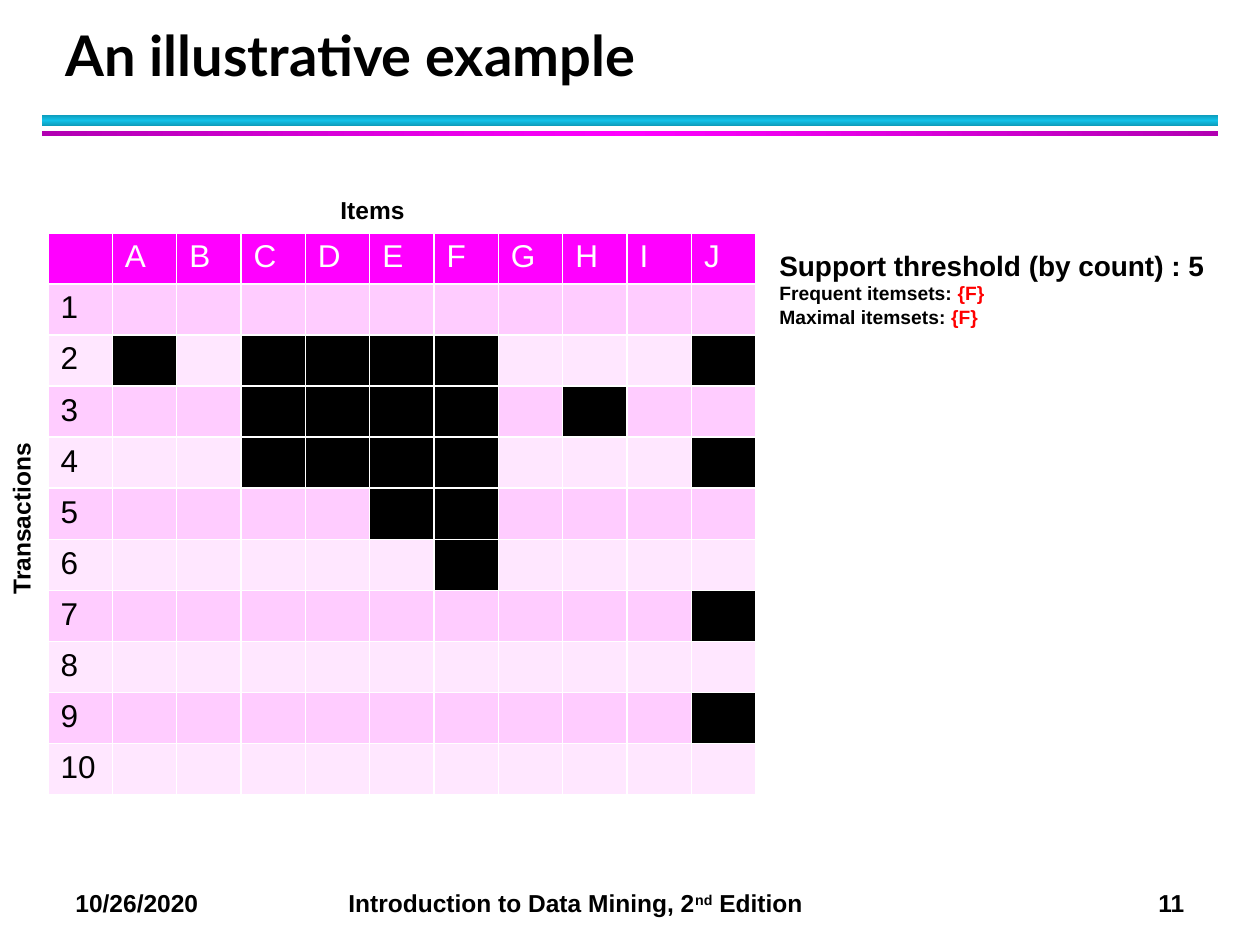
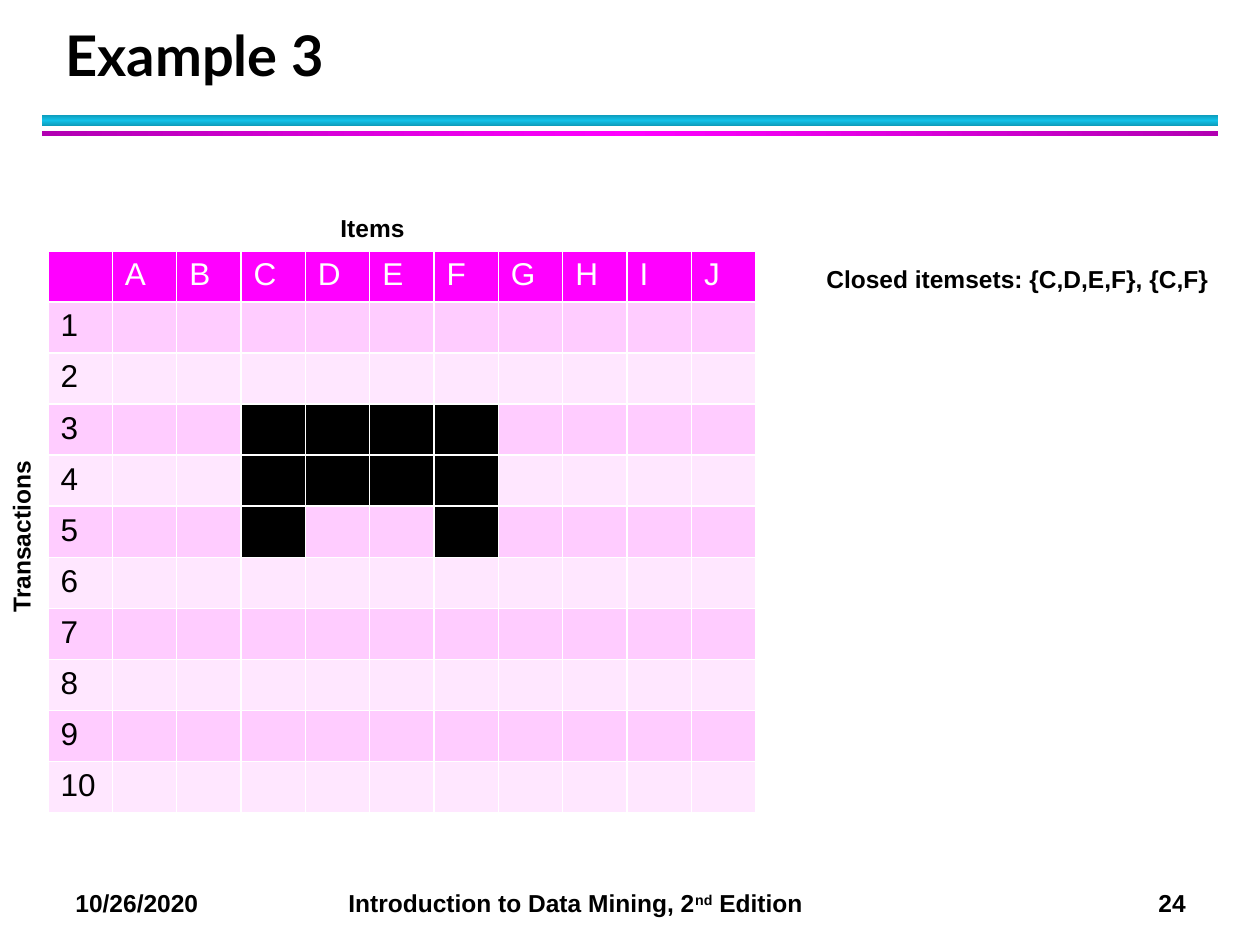
from copy import deepcopy

from lxml import etree
from pptx import Presentation
from pptx.dml.color import RGBColor
from pptx.enum.shapes import MSO_SHAPE
from pptx.enum.text import MSO_ANCHOR
from pptx.oxml.ns import qn
from pptx.util import Emu, Pt

RECTANGLE = MSO_SHAPE.RECTANGLE
TOP, BOTTOM = MSO_ANCHOR.TOP, MSO_ANCHOR.BOTTOM

PX_PER_INCH = 126
BODY_FONT, TITLE_FONT = "Arial", "Lato"
BLACK, WHITE, RED, MAGENTA = "000000", "FFFFFF", "FF0000", "FF00FF"
ROW_TINTS = ("FFCCFF", "FFE7FF")
CYAN_BAND = ("0E9BBA", "12C2E9", "0E9BBA")
MAGENTA_BAND = ("B200B2", MAGENTA, "B200B2")

ITEMS = "ABCDEFGHIJ"
TRANSACTION_COUNT = 10
DATE = "10/26/2020"
FOOTER_TABS = (273, 1083)


def px(length):
    return Emu(round(length * 914400 / PX_PER_INCH))


def rgb(value):
    return RGBColor.from_string(value)


def add_run(paragraph, text, size=14, color=BLACK, bold=True, font=BODY_FONT,
            baseline=None):
    run = paragraph.add_run()
    run.text = text
    run.font.size = Pt(size)
    run.font.bold = bold
    run.font.name = font
    run.font.color.rgb = rgb(color)
    if baseline:
        run.font._element.set("baseline", str(baseline))


def add_text(slide, box, *lines, anchor=TOP, rotation=0, line_spacing=None,
             tabs=(), **style):
    """Each line is a string or a list of (text, format) runs."""
    label = slide.shapes.add_textbox(*map(px, box))
    label.rotation = rotation
    frame = label.text_frame
    frame.word_wrap = True
    frame.vertical_anchor = anchor
    for index, line in enumerate(lines):
        paragraph = frame.add_paragraph() if index else frame.paragraphs[0]
        if tabs:
            tab_list = etree.SubElement(paragraph._p.get_or_add_pPr(), qn("a:tabLst"))
            for position in tabs:
                etree.SubElement(tab_list, qn("a:tab"), pos=str(px(position)), algn="l")
        if line_spacing:
            paragraph.line_spacing = Pt(line_spacing)
        for text, own_style in [(line, {})] if isinstance(line, str) else line:
            add_run(paragraph, text, **{**style, **own_style})


def add_band(slide, box, colors, angle):
    band = slide.shapes.add_shape(RECTANGLE, *map(px, box))
    band.shadow.inherit = False
    band.line.fill.background()
    band.fill.gradient()
    band.fill.gradient_angle = angle
    stop_list = band._element.spPr.find(".//" + qn("a:gsLst"))
    stop_list.append(deepcopy(stop_list[0]))
    for stop, color, position in zip(band.fill.gradient_stops, colors, (0, 0.5, 1)):
        stop.color.rgb = rgb(color)
        stop.position = position


def add_base(presentation, title, number):
    """Slide with the shared title, bands and footer."""
    slide = presentation.slides.add_slide(presentation.slide_layouts[6])
    add_band(slide, (42, 115, 1176, 11), CYAN_BAND, 90)
    add_band(slide, (42, 131, 1176, 5), MAGENTA_BAND, 0)
    add_text(slide, (63, 882, 1176, 43),
             [(f"{DATE}\tIntroduction to Data Mining, 2", {}),
              ("nd", {"baseline": 30000}),
              (f" Edition\t{number}", {})],
             tabs=FOOTER_TABS)
    add_text(slide, (53, 21, 1142, 73), title, anchor=BOTTOM, line_spacing=36,
             size=32, font=TITLE_FONT)
    return slide


def style_cell(cell, text, fill, color):
    # Borders come before the fill in the cell properties
    properties = cell._tc.get_or_add_tcPr()
    for side in ("a:lnL", "a:lnR", "a:lnT", "a:lnB"):
        border = etree.SubElement(properties, qn(side), w=str(Pt(1)))
        solid = etree.SubElement(border, qn("a:solidFill"))
        etree.SubElement(solid, qn("a:srgbClr"), val=WHITE)
    cell.fill.solid()
    cell.fill.fore_color.rgb = rgb(fill)
    if text:
        add_run(cell.text_frame.paragraphs[0], text, size=18, color=color, bold=False)


def add_transaction_grid(slide, top, purchases):
    """Item matrix with axis labels; purchases maps a transaction to its items."""
    left, width, height = 48, 708, 562
    row_count, column_count = TRANSACTION_COUNT + 1, len(ITEMS) + 1
    grid = slide.shapes.add_table(row_count, column_count,
                                  px(left), px(top), px(width), px(height)).table
    for column in grid.columns:
        column.width = px(width / column_count)
    for row in grid.rows:
        row.height = px(height / row_count)

    # Header row
    for column, item in enumerate(" " + ITEMS):
        style_cell(grid.cell(0, column), item.strip(), MAGENTA, WHITE)

    # Transactions, with bought items in black
    for transaction in range(1, row_count):
        tint = ROW_TINTS[(transaction - 1) % 2]
        style_cell(grid.cell(transaction, 0), str(transaction), tint, BLACK)
        for column, item in enumerate(ITEMS, 1):
            bought = item in purchases.get(transaction, "")
            style_cell(grid.cell(transaction, column), "", BLACK if bought else tint, BLACK)

    # Axis labels
    add_text(slide, (328, top - 44, 97, 50), "Items")
    add_text(slide, (-68, top + 256, 186, 50), "Transactions", rotation=270)


def main():
    presentation = Presentation()
    presentation.slide_width, presentation.slide_height = px(1260), px(945)

    # Frequent and maximal itemsets
    illustrative = add_base(presentation, "An illustrative example", 11)
    answer = ("{F}", {"size": 11, "color": RED})
    add_text(illustrative, (767, 242, 456, 140),
             [("Support threshold (by count) : 5", {"size": 16})],
             [("Frequent itemsets: ", {}), answer],
             [("Maximal itemsets: ", {}), answer],
             size=11)
    add_transaction_grid(illustrative, 233, {
        2: "ACDEFJ", 3: "CDEFH", 4: "CDEFJ", 5: "EF", 6: "F", 7: "J", 9: "J"})

    # Closed itemsets
    closed = add_base(presentation, "Example 3", 24)
    add_transaction_grid(closed, 251, {3: "CDEF", 4: "CDEF", 5: "CF"})
    add_text(closed, (814, 258, 428, 50), "Closed itemsets: {C,D,E,F}, {C,F}")

    presentation.save("out.pptx")


if __name__ == "__main__":
    main()
